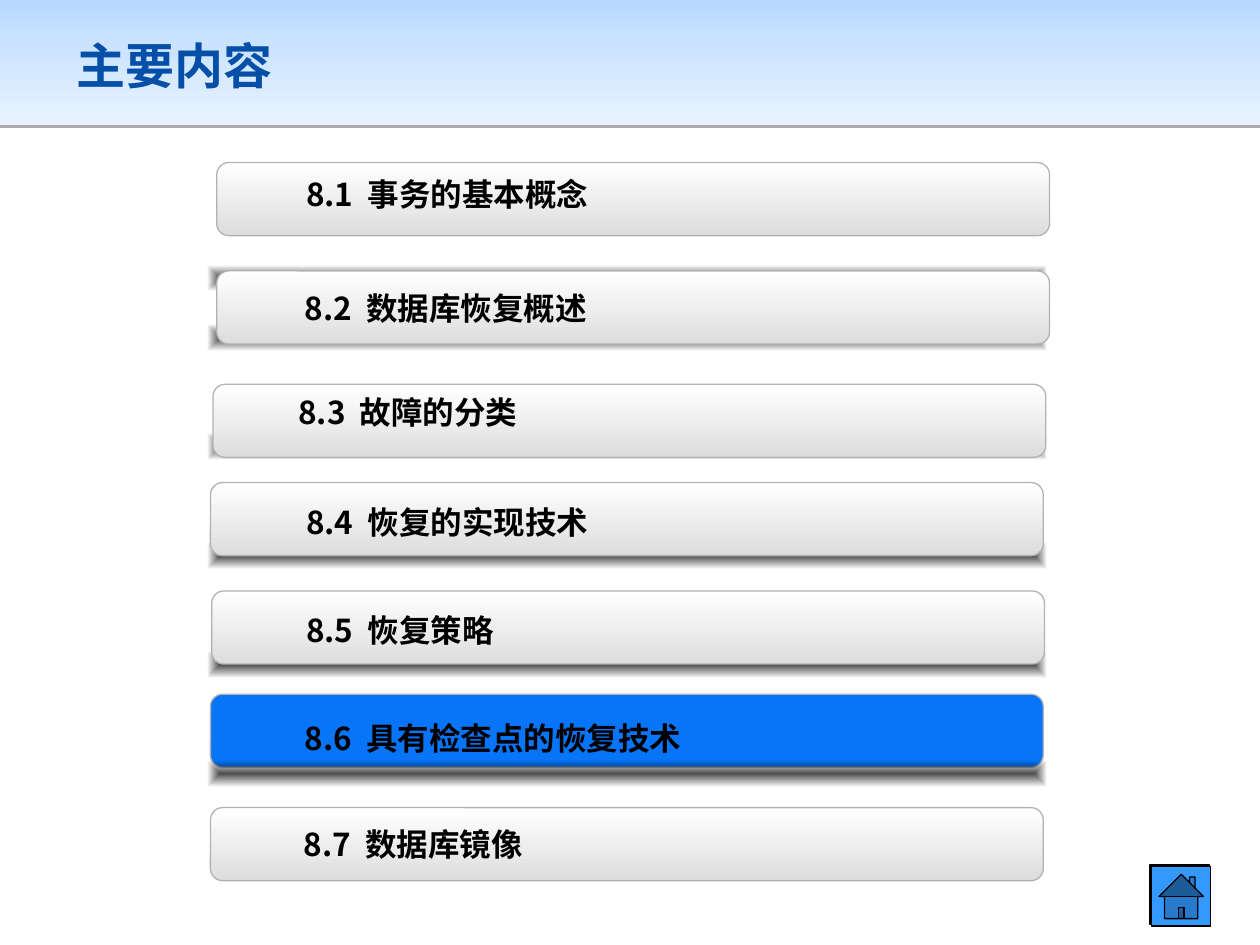
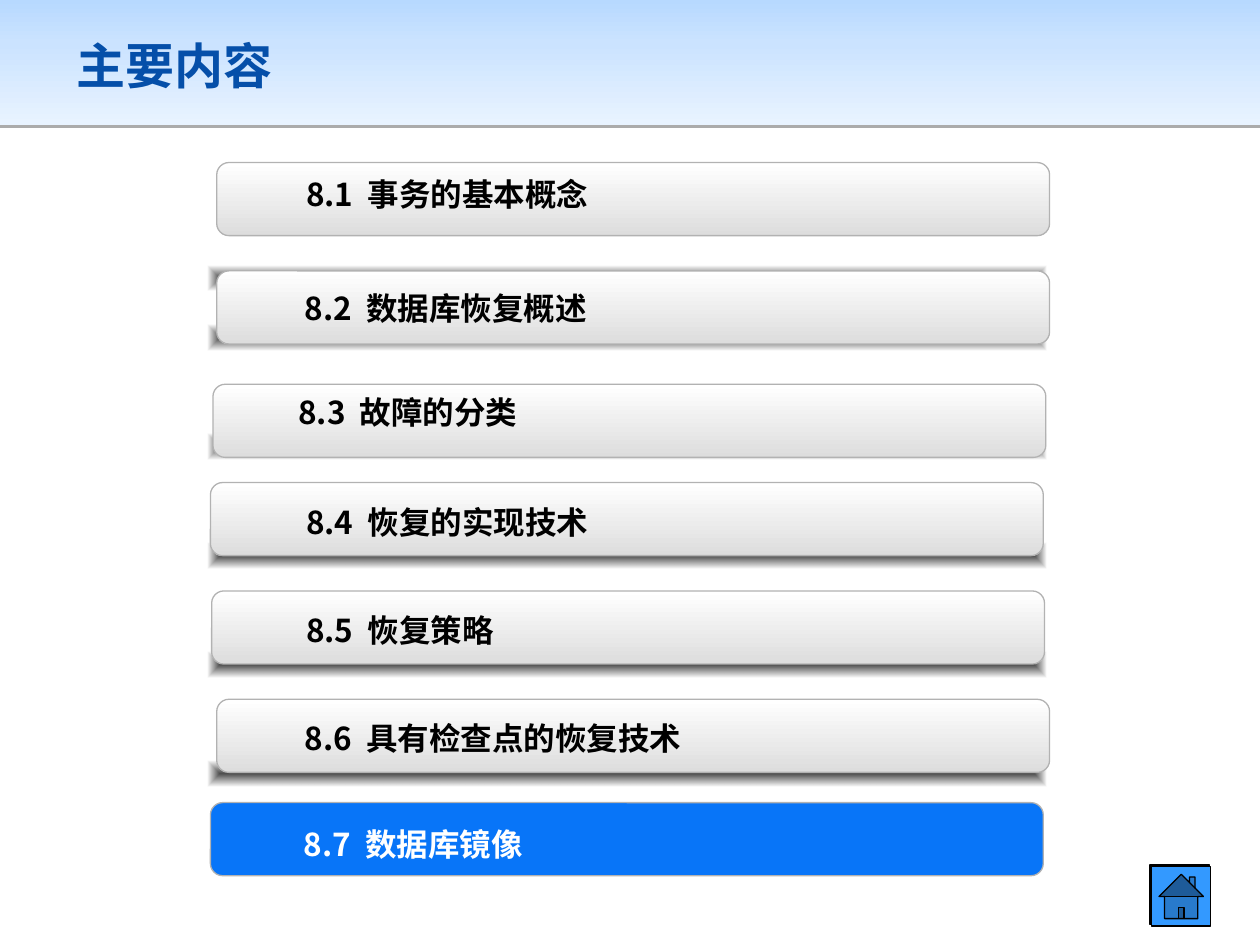
from dataclasses import dataclass
from typing import Any, Optional

from lxml import etree
from pptx import Presentation
from pptx.dml.color import RGBColor
from pptx.enum import shapes, text
from pptx.oxml import ns
from pptx.util import Pt


@dataclass(frozen=True)
class Stop:
    position: int
    color: str
    opacity: int = 100


@dataclass(frozen=True)
class Theme:
    title_color: str = "054FA9"
    text_color: str = "000000"
    light_text: str = "FFFFFF"
    highlight: str = "0875F8"
    bar_line: str = "B2B2B2"
    button: str = "3399FF"
    black: str = "000000"
    band_stops: tuple = (Stop(0, "B7D9FF"), Stop(35, "CBE3FF"), Stop(100, "E8F3FF"))
    bar_stops: tuple = (Stop(0, "FFFFFF"), Stop(100, "DDDDDD"))
    shade_stops: tuple = (Stop(0, "000000", 70), Stop(100, "000000", 0))
    title_font: str = "Arial"
    label_font: str = "Noto Sans CJK SC"
    title_size: float = 28
    label_size: float = 18
    line_width: float = 0.75


@dataclass(frozen=True)
class Box:
    left: float
    top: float
    width: float
    height: float

    def lengths(self) -> tuple:
        return tuple(Pt(v) for v in (self.left, self.top, self.width, self.height))


@dataclass(frozen=True)
class Section:
    number: str
    name: str
    bar_left: float
    bar_top: float
    label_left: float
    label_top: float
    inset: float = 11.52


@dataclass(frozen=True)
class Agenda:
    current: str
    current_color: str


THEME = Theme()
SLIDE_WIDTH, SLIDE_HEIGHT = 720, 540
BAR_WIDTH, LABEL_WIDTH, ROW_HEIGHT = 475.92, 425.52, 41.76
CURRENT_LEFT, CURRENT_LIFT = 120.24, 2.88
SHADE_LEFT, SHADE_WIDTH, SHADE_HEIGHT = 118.6, 479.52, 14.4
SHADE_TOPS = [151.92] + [185.76 + 62.28 * row for row in range(5)]

SECTIONS = (
    Section("8.1", "事务的基本概念", 123.84, 92.88, 127.44, 90),
    Section("8.2", "数据库恢复概述", 123.84, 154.8, 126.72, 154.8),
    Section("8.3", "故障的分类", 121.68, 219.6, 127.44, 214.56, 7.2),
    Section("8.4", "恢复的实现技术", 120.24, 275.76, 127.44, 277.2),
    Section("8.5", "恢复策略", 120.96, 337.68, 127.44, 339.12),
    Section("8.6", "具有检查点的恢复技术", 123.84, 399.6, 126.72, 401.04),
    Section("8.7", "数据库镜像", 120.24, 461.52, 126, 461.52),
)
AGENDAS = (Agenda("8.6", THEME.text_color), Agenda("8.7", THEME.light_text))


# Formatting helpers
def apply(target: Any, values: dict) -> None:
    for name, value in values.items():
        setattr(target, name, value)


def add_element(parent: Any, tag: str, **attributes: Any) -> Any:
    values = {name: str(value) for name, value in attributes.items()}
    return etree.SubElement(parent, ns.qn(f"a:{tag}"), values)


def add_color(parent: Any, color: str, opacity: int) -> None:
    element = add_element(parent, "srgbClr", val=color)
    if opacity < 100:
        add_element(element, "alpha", val=opacity * 1000)


def fill_gradient(shape: Any, stops: tuple, from_center: bool = False) -> None:
    shape.fill.gradient()
    gradient = shape.element.spPr.find(ns.qn("a:gradFill"))
    for child in list(gradient):
        gradient.remove(child)
    stop_list = add_element(gradient, "gsLst")
    for stop in stops:
        add_color(add_element(stop_list, "gs", pos=stop.position * 1000), stop.color, stop.opacity)
    if from_center:
        center = add_element(gradient, "path", path="shape")
        add_element(center, "fillToRect", l=50000, t=50000, r=50000, b=50000)
    else:
        add_element(gradient, "lin", ang=90 * 60000, scaled=1)


def cast_shadow(shape: Any, opacity: int, distance: float, angle: int) -> None:
    effects = shape.element.spPr.find(ns.qn("a:effectLst"))
    shadow = add_element(effects, "outerShdw", dist=int(Pt(distance)), dir=angle * 60000,
                         algn="ctr", rotWithShape=0)
    add_color(shadow, THEME.black, opacity)


def add_box(slide: Any, kind: Any, box: Box, fill: Any, line: Optional[str] = None,
            from_center: bool = False) -> Any:
    shape = slide.shapes.add_shape(kind, *box.lengths())
    shape.shadow.inherit = False
    if isinstance(fill, str):
        shape.fill.solid()
        shape.fill.fore_color.rgb = RGBColor.from_string(fill)
    else:
        fill_gradient(shape, fill, from_center)
    if line:
        shape.line.color.rgb = RGBColor.from_string(line)
        shape.line.width = Pt(THEME.line_width)
    else:
        shape.line.fill.background()
    return shape


def add_text(slide: Any, box: Box, inset: float) -> Any:
    frame = slide.shapes.add_textbox(*box.lengths()).text_frame
    apply(frame, {"word_wrap": True, "vertical_anchor": text.MSO_ANCHOR.MIDDLE,
                  "margin_left": Pt(inset), "margin_right": Pt(7.2),
                  "margin_top": Pt(3.6), "margin_bottom": Pt(3.6)})
    return frame.paragraphs[0]


def add_run(paragraph: Any, words: str, font: str, size: float, color: str) -> Any:
    run = paragraph.add_run()
    run.text = words
    apply(run.font, {"name": font, "size": Pt(size), "bold": True})
    run.font.color.rgb = RGBColor.from_string(color)
    add_element(run.font._element, "ea", typeface=THEME.label_font)
    return run


# Parts of a slide
def draw_header(slide: Any) -> None:
    band = add_box(slide, shapes.MSO_SHAPE.RECTANGLE, Box(0, 0, SLIDE_WIDTH, 71.28),
                   THEME.band_stops)
    cast_shadow(band, 33, 1.6, 90)
    title = add_text(slide, Box(36.72, 11.52, 646.56, 51.12), 7.2)
    add_run(title, "主要内容", THEME.title_font, THEME.title_size, THEME.title_color)


def draw_bar(slide: Any, section: Section, is_current: bool) -> None:
    left, top = section.bar_left, section.bar_top
    if is_current:
        left, top = CURRENT_LEFT, top - CURRENT_LIFT
    bar = add_box(slide, shapes.MSO_SHAPE.ROUNDED_RECTANGLE,
                  Box(left, top, BAR_WIDTH, ROW_HEIGHT),
                  THEME.highlight if is_current else THEME.bar_stops, THEME.bar_line)
    bar.adjustments[0] = 0.167


def draw_label(slide: Any, section: Section, color: str) -> None:
    box = Box(section.label_left, section.label_top, LABEL_WIDTH, ROW_HEIGHT)
    paragraph = add_text(slide, box, section.inset)
    paragraph.level = 1
    properties = paragraph._p.get_or_add_pPr()
    properties.set("marL", str(int(Pt(36))))
    properties.set("indent", "0")
    number, gap, name = (add_run(paragraph, words, THEME.label_font, THEME.label_size, color)
                         for words in (section.number, " ", section.name))
    # Widen the gap after the number by 4 points
    gap.font._element.set("spc", "400")


def draw_home_button(slide: Any) -> None:
    button = add_box(slide, shapes.MSO_SHAPE.ACTION_BUTTON_HOME,
                     Box(658.08, 495.36, 33.84, 33.84), THEME.button, THEME.black)
    cast_shadow(button, 100, 1.4, 225)


def draw_agenda(slide: Any, agenda: Agenda) -> None:
    draw_header(slide)
    # The current bar lies under the shades, the other bars over them
    for section in SECTIONS:
        if section.number == agenda.current:
            draw_bar(slide, section, True)
    for top in SHADE_TOPS:
        add_box(slide, shapes.MSO_SHAPE.RECTANGLE,
                Box(SHADE_LEFT, top, SHADE_WIDTH, SHADE_HEIGHT),
                THEME.shade_stops, from_center=True)
    for section in SECTIONS:
        is_current = section.number == agenda.current
        if not is_current:
            draw_bar(slide, section, False)
        draw_label(slide, section, agenda.current_color if is_current else THEME.text_color)
    draw_home_button(slide)


def main() -> None:
    presentation = Presentation()
    apply(presentation, {"slide_width": Pt(SLIDE_WIDTH), "slide_height": Pt(SLIDE_HEIGHT)})
    for agenda in AGENDAS:
        draw_agenda(presentation.slides.add_slide(presentation.slide_layouts[6]), agenda)
    presentation.save("out.pptx")


if __name__ == "__main__":
    main()
